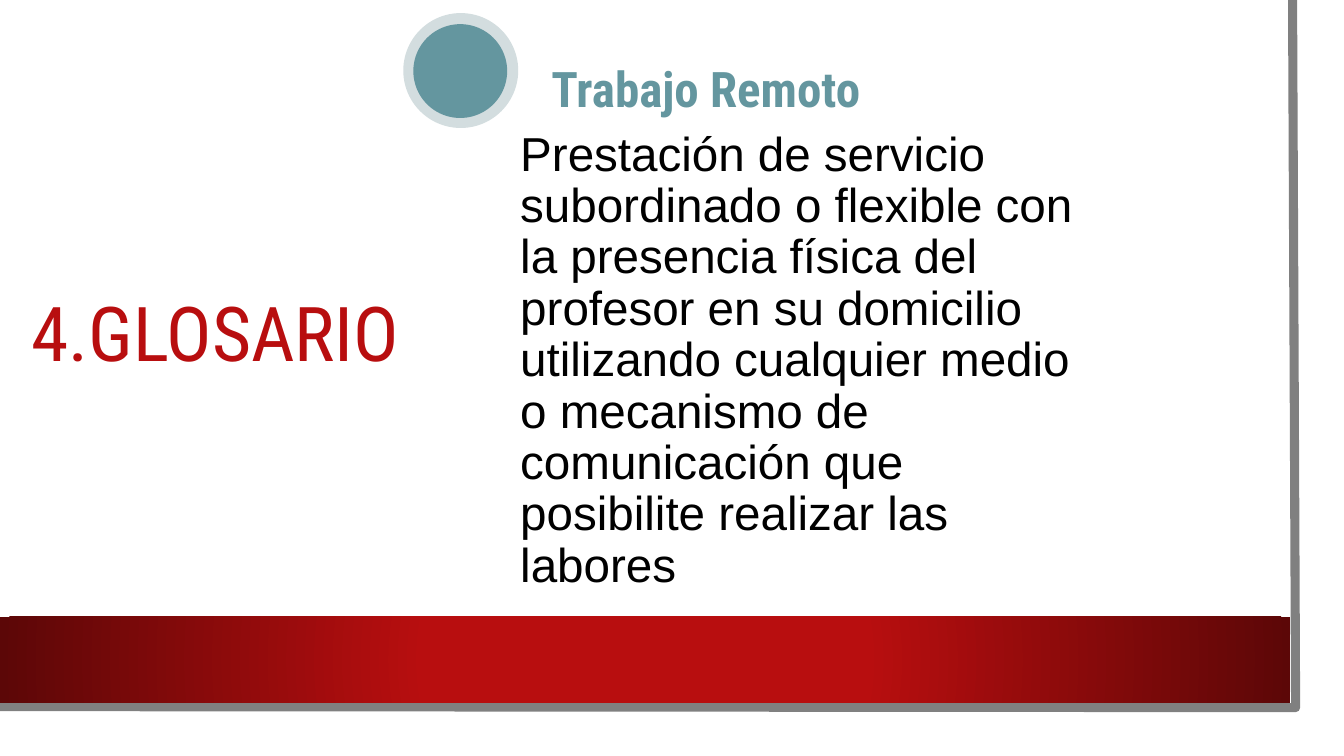
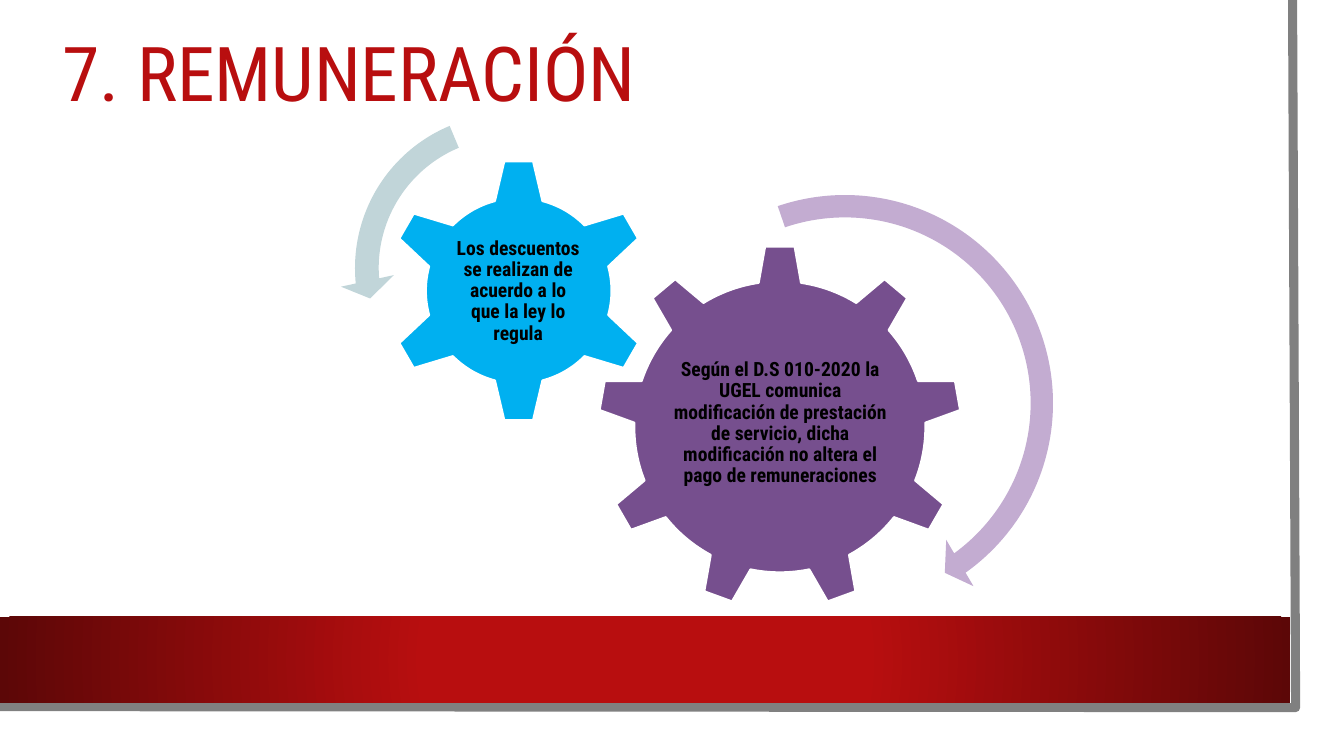
"""Build two slides on remote work: a glossary entry and a pay notice."""
from dataclasses import dataclass

from lxml import etree
from pptx import Presentation
from pptx.dml.color import RGBColor
from pptx.enum.shapes import MSO_SHAPE
from pptx.enum.text import MSO_ANCHOR, MSO_AUTO_SIZE, PP_ALIGN
from pptx.oxml import parse_xml
from pptx.oxml.ns import nsdecls
from pptx.util import Inches, Pt

RECTANGLE, OVAL, CHORD = MSO_SHAPE.RECTANGLE, MSO_SHAPE.OVAL, MSO_SHAPE.CHORD
GEAR_SIX, GEAR_NINE = MSO_SHAPE.GEAR_6, MSO_SHAPE.GEAR_9
ARROW_RIGHT, ARROW_LEFT = MSO_SHAPE.CIRCULAR_ARROW, MSO_SHAPE.LEFT_CIRCULAR_ARROW
TOP, MIDDLE, BOTTOM = MSO_ANCHOR.TOP, MSO_ANCHOR.MIDDLE, MSO_ANCHOR.BOTTOM
LEFT, CENTER = PP_ALIGN.LEFT, PP_ALIGN.CENTER
NO_AUTOFIT = MSO_AUTO_SIZE.NONE
TITLE_ONLY = 5


@dataclass(frozen=True)
class Theme:
    heading_font: str = "Roboto Condensed"
    body_font: str = "Arial"
    red: str = "B80E0F"
    dark_red: str = "5C0707"
    gray: str = "808080"
    white: str = "FFFFFF"
    black: str = "000000"
    teal: str = "64969F"
    pale_teal: str = "D3DDDF"
    arrow_teal: str = "C1D5D9"
    purple: str = "764F8E"
    arrow_purple: str = "C3ACD1"
    blue: str = "00B0F0"
    title_size: float = 54
    term_size: float = 35
    body_size: float = 34
    gear_size: float = 14
    edge_width: float = 6.5
    outline_width: float = 1.5
    line_spacing: float = 0.9


THEME = Theme()

GLOSSARY = {
    "title": "4.GLOSARIO",
    "title_at": (0.21, 2.71),
    "term": "Trabajo Remoto",
    "meaning": "Prestación de servicio subordinado o flexible con la presencia física "
               "del profesor en su domicilio utilizando cualquier medio o mecanismo de "
               "comunicación que posibilite realizar las labores",
}
PAY = {
    "title": "7. REMUNERACIÓN",
    "title_at": (0.52, 0.13),
    "gears": [
        (GEAR_NINE, THEME.purple, (5.93, 2.43, 3.61, 3.61), (6.66, 3.27, 2.16, 1.86),
         "Según el D.S 010-2020 la UGEL comunica modificación de prestación de servicio, "
         "dicha modificación no altera el pago de remuneraciones"),
        (GEAR_SIX, THEME.blue, (3.83, 1.57, 2.63, 2.63), (4.49, 2.24, 1.3, 1.3),
         "Los descuentos se realizan de acuerdo a lo que la ley lo regula"),
    ],
    "arrows": [
        (ARROW_RIGHT, THEME.arrow_purple, (6.16, 1.78, 4.44, 4.44),
         (0.05, 3.13, 32.57, 150.72, 0.06)),
        (ARROW_LEFT, THEME.arrow_teal, (3.37, 0.98, 3.36, 3.36),
         (0.07, 4.3, 104.89, 148.38, 0.08)),
    ],
}
TITLE_SIZE = (11.37, 1.26)
PANEL = (0, 0, 13.1, 7.27)
BAND = (0, 6.12, 12.8, 0.85)
EDGE = [(12.82, 0), (12.85, 7.02), (-0.03, 7.01)]


def inches(lengths):
    return [Inches(length) for length in lengths]


def set_line(shape, color, width):
    if color:
        shape.line.color.rgb = RGBColor.from_string(color)
        shape.line.width = Pt(width)
    else:
        shape.line.fill.background()


def add_figure(page, kind, at, fill, line=None, adjustments=()):
    shape = page.shapes.add_shape(kind, *inches(at))
    shape.shadow.inherit = False
    shape.fill.solid()
    shape.fill.fore_color.rgb = RGBColor.from_string(fill)
    set_line(shape, line, THEME.outline_width)
    for index, value in enumerate(adjustments):
        shape.adjustments[index] = value
    return shape


def write_text(box, text, size, color, font, bold=False, anchor=TOP, align=LEFT, inset=0.1):
    frame = box.text_frame
    frame.word_wrap = True
    frame.auto_size = NO_AUTOFIT
    frame.vertical_anchor = anchor
    frame.margin_left = frame.margin_right = Inches(inset)
    frame.margin_top = frame.margin_bottom = Inches(inset)
    para = frame.paragraphs[0]
    para.alignment = align
    para.line_spacing = THEME.line_spacing
    span = para.add_run()
    span.text = text
    span.font.name = font
    span.font.size = Pt(size)
    span.font.bold = bold
    span.font.color.rgb = RGBColor.from_string(color)


def add_text(page, at, *content, **style):
    write_text(page.shapes.add_textbox(*inches(at)), *content, **style)


def shade_band(band):
    gradient = parse_xml(
        f'<a:gradFill {nsdecls("a")} rotWithShape="1"><a:gsLst>'
        f'<a:gs pos="34000"><a:srgbClr val="{THEME.red}"/></a:gs>'
        f'<a:gs pos="100000"><a:srgbClr val="{THEME.dark_red}"/></a:gs></a:gsLst>'
        '<a:path path="circle"><a:fillToRect l="50000" t="50000" r="50000" b="50000"/>'
        '</a:path></a:gradFill>')
    properties = band.element.spPr
    properties.replace(properties.find("{*}solidFill"), gradient)


def add_edge(page):
    start, *corners = [tuple(inches(point)) for point in EDGE]
    builder = page.shapes.build_freeform(*start)
    builder.add_line_segments(corners, close=False)
    edge = builder.convert_to_shape()
    edge.shadow.inherit = False
    edge.fill.background()
    set_line(edge, THEME.gray, THEME.edge_width)
    return edge


def frame_layout(layout, page):
    panel = add_figure(page, RECTANGLE, PANEL, THEME.white)
    edge = add_edge(page)
    band = add_figure(page, RECTANGLE, BAND, THEME.red)
    shade_band(band)
    tree = layout.shapes.element
    for order, part in enumerate((panel, edge, band)):
        part.element.nvSpPr.cNvPr.set("id", str(100 + order))
        etree.strip_elements(part.element, "{*}style")
        tree.insert(2 + order, part.element)


def set_title(page, content):
    title = page.shapes.title
    title.left, title.top = inches(content["title_at"])
    title.width, title.height = inches(TITLE_SIZE)
    write_text(title, content["title"], THEME.title_size, THEME.red, THEME.heading_font,
               anchor=MIDDLE)


def fill_glossary(page):
    set_title(page, GLOSSARY)
    add_figure(page, OVAL, (4, 0.13, 1.14, 1.14), THEME.pale_teal)
    add_figure(page, CHORD, (4.11, 0.25, 0.91, 0.91), THEME.teal, THEME.teal, (162, 162))
    add_text(page, (5.07, 1.2, 5.73, 4.79), GLOSSARY["meaning"], THEME.body_size,
             THEME.black, THEME.body_font, inset=0.09)
    add_text(page, (5.37, 0.13, 3.37, 1.14), GLOSSARY["term"], THEME.term_size,
             THEME.teal, THEME.heading_font, bold=True, anchor=BOTTOM)


def fill_pay(page):
    set_title(page, PAY)
    for kind, color, at, text_at, text in PAY["gears"]:
        add_figure(page, kind, at, color, THEME.white)
        add_text(page, text_at, text, THEME.gear_size, THEME.black, THEME.heading_font,
                 bold=True, anchor=MIDDLE, align=CENTER, inset=0.02)
    for kind, color, at, adjustments in PAY["arrows"]:
        add_figure(page, kind, at, color, adjustments=adjustments)


def main():
    deck = Presentation()
    deck.slide_width, deck.slide_height = Inches(13.33), Inches(7.5)
    layout = deck.slide_layouts[TITLE_ONLY]
    glossary, pay = [deck.slides.add_slide(layout) for _ in range(2)]
    frame_layout(layout, glossary)
    fill_glossary(glossary)
    fill_pay(pay)
    deck.save("out.pptx")


if __name__ == "__main__":
    main()
